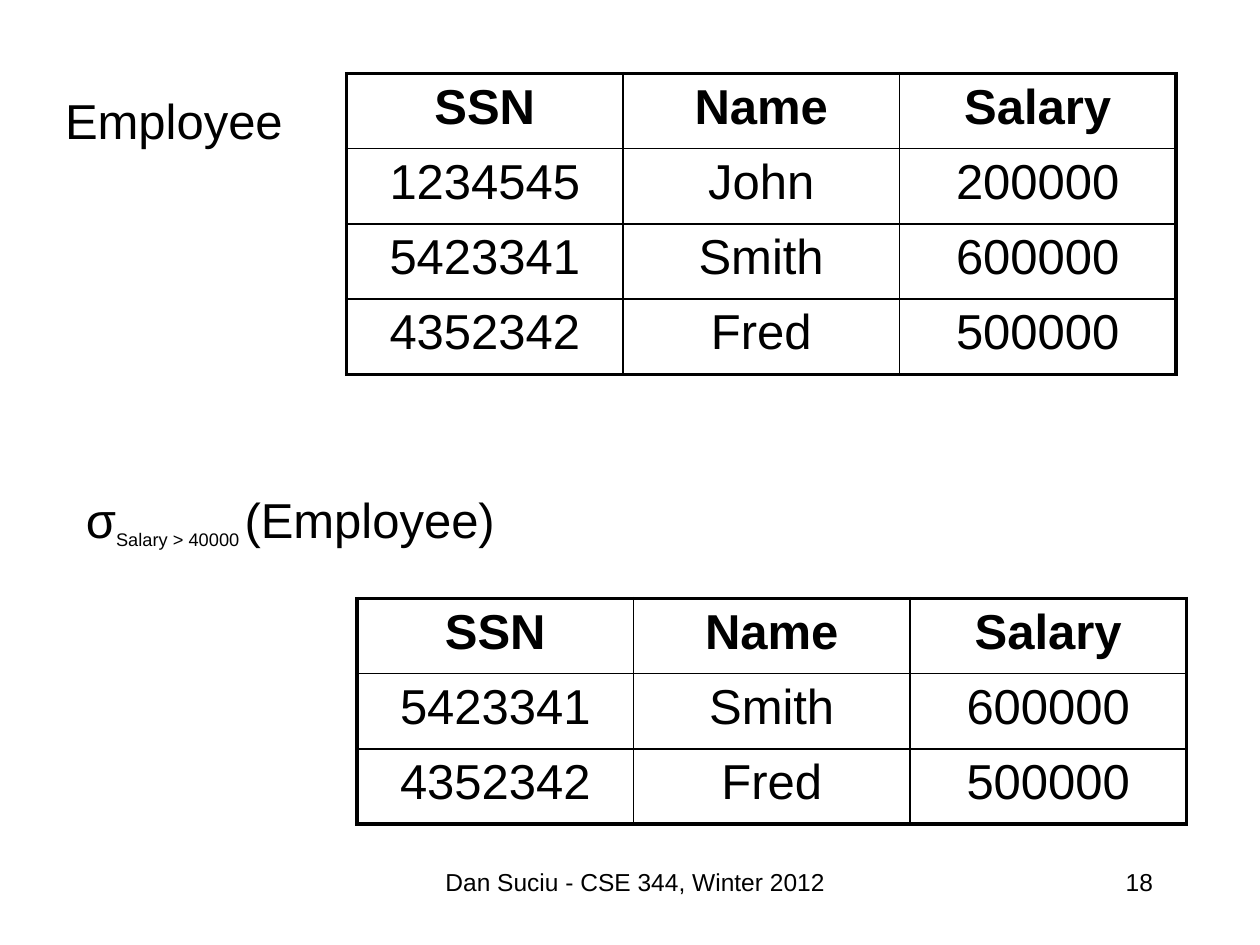
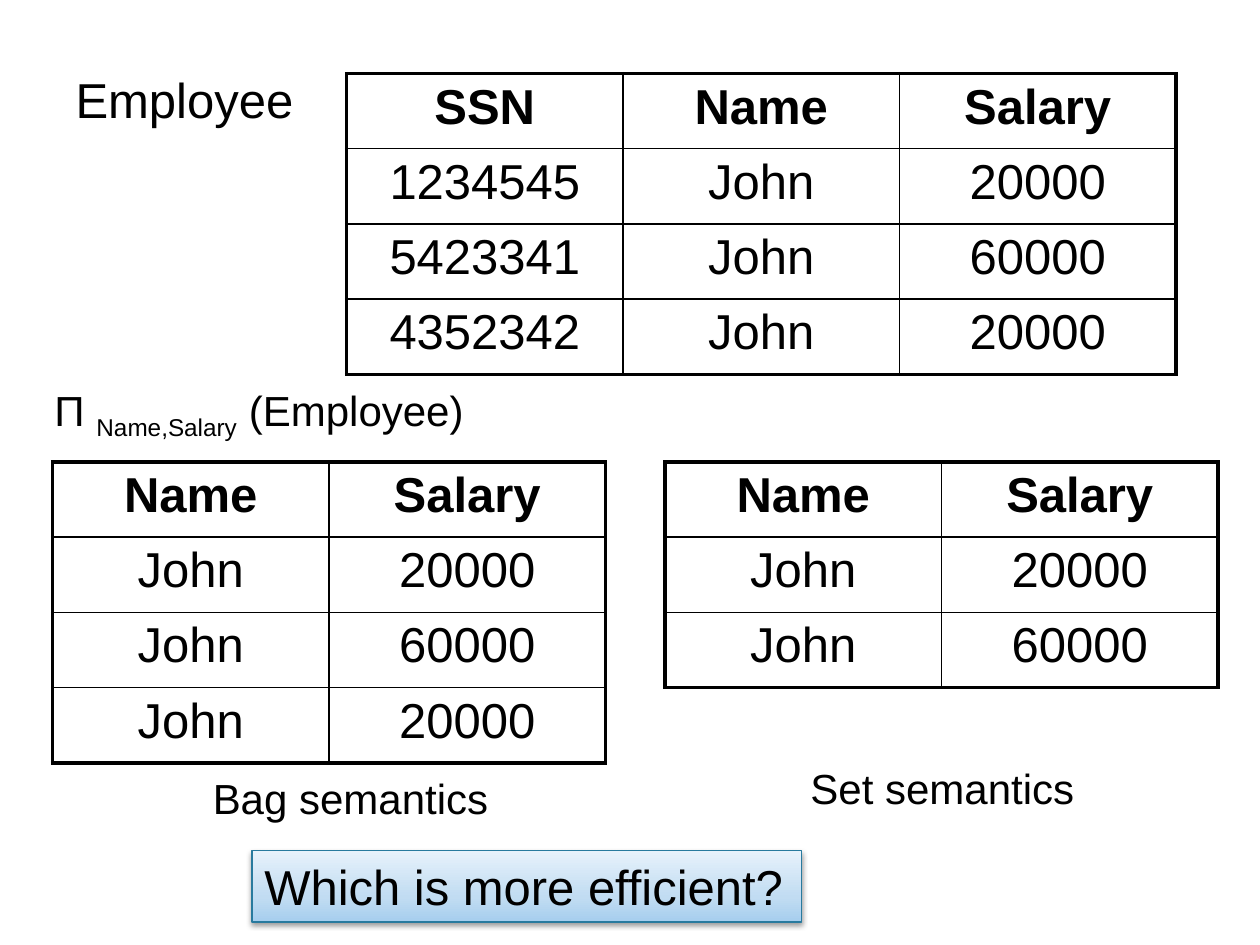
"""Two slides on relational algebra: selection, and projection with duplicates."""
from dataclasses import dataclass

from lxml import etree
from pptx import Presentation
from pptx.dml.color import RGBColor
from pptx.enum.shapes import MSO_SHAPE
from pptx.enum.text import MSO_ANCHOR, MSO_AUTO_SIZE, PP_ALIGN
from pptx.oxml.ns import qn
from pptx.util import Pt

BLACK = RGBColor(0x00, 0x00, 0x00)
CALLOUT_EDGE = RGBColor(0x28, 0x7A, 0x9E)
CALLOUT_STOPS = (
    (0, RGBColor(0xA6, 0xCE, 0xEE)),
    (35, RGBColor(0xC1, 0xDC, 0xF2)),
    (100, RGBColor(0xE7, 0xF2, 0xFB)),
)

LEFT, CENTER, RIGHT = PP_ALIGN.LEFT, PP_ALIGN.CENTER, PP_ALIGN.RIGHT
TOP = MSO_ANCHOR.TOP
GROW, FIXED = MSO_AUTO_SIZE.SHAPE_TO_FIT_TEXT, MSO_AUTO_SIZE.NONE
RECTANGLE = MSO_SHAPE.RECTANGLE

FONT = "Arial"
LARGE, MEDIUM, SMALL_FORMULA, FOOTER = 28, 24, 18, 14
COLUMN_WIDTH, ROW_HEIGHT = 158, 43
OUTER_LINE, INNER_LINE = 2.25, 1
TITLE_ONLY = 5


@dataclass(frozen=True)
class Area:
    """A rectangle on the page, in points."""
    left: float
    top: float
    width: float
    height: float

    def lengths(self):
        """Return left, top, width and height as lengths."""
        return tuple(Pt(n) for n in (self.left, self.top, self.width, self.height))


@dataclass(frozen=True)
class Relation:
    """A relation with its header and tuples, and its place on the page."""
    left: float
    top: float
    header: tuple[str, ...]
    tuples: tuple[tuple[str, ...], ...]


@dataclass(frozen=True)
class Formula:
    """An operator with a subscript, applied to an operand."""
    operator: str
    subscript: str
    operand: str
    size: float
    subscript_size: float


def style_paragraph(para, size: float, align=LEFT, bold: bool = False) -> None:
    """Give a paragraph the common font with a size and alignment."""
    para.alignment = align
    para.font.name = FONT
    para.font.size = Pt(size)
    para.font.bold = bold
    para.font.color.rgb = BLACK


def fill_frame(frame, text: str, size: float, align=LEFT, grow: bool = True) -> None:
    """Write one paragraph; a growing frame keeps it on one line."""
    frame.word_wrap = not grow
    frame.auto_size = GROW if grow else FIXED
    frame.vertical_anchor = TOP
    frame.text = text
    style_paragraph(frame.paragraphs[0], size, align)


def add_page(deck, title_area: Area):
    """Add a page titled with the name of the base relation."""
    page = deck.slides.add_slide(deck.slide_layouts[TITLE_ONLY])
    title = page.shapes.title
    title.left, title.top, title.width, title.height = title_area.lengths()
    fill_frame(title.text_frame, "Employee", LARGE)
    return page


def add_label(page, area: Area, text: str, size: float, align=LEFT,
              grow: bool = True) -> None:
    """Add a text box with one paragraph."""
    box = page.shapes.add_textbox(*area.lengths())
    fill_frame(box.text_frame, text, size, align, grow)


def add_formula(page, area: Area, formula: Formula) -> None:
    """Add an algebra expression with a subscript."""
    frame = page.shapes.add_textbox(*area.lengths()).text_frame
    fill_frame(frame, formula.operator, formula.size)
    para = frame.paragraphs[0]
    subscript = para.add_run()
    subscript.text = formula.subscript
    subscript.font.size = Pt(formula.subscript_size)
    subscript.font._element.set("baseline", "-25000")
    para.add_run().text = formula.operand


def add_border(cell, side: str, width: float) -> None:
    """Draw one black border of a cell; sides are L, R, T and B."""
    line = etree.SubElement(cell._tc.get_or_add_tcPr(), qn(f"a:ln{side}"),
                            w=str(int(Pt(width))))
    fill = etree.SubElement(line, qn("a:solidFill"))
    etree.SubElement(fill, qn("a:srgbClr"), val=str(BLACK))


def add_relation(page, relation: Relation) -> None:
    """Draw a relation as a table with a heavy frame and thin inner lines."""
    rows = (relation.header, *relation.tuples)
    last_row, last_column = len(rows) - 1, len(relation.header) - 1
    area = Area(relation.left, relation.top,
                COLUMN_WIDTH * len(relation.header), ROW_HEIGHT * len(rows))
    table = page.shapes.add_table(len(rows), len(relation.header),
                                  *area.lengths()).table
    table.first_row = table.horz_banding = False
    for r, values in enumerate(rows):
        for c, value in enumerate(values):
            cell = table.cell(r, c)
            cell.text = value
            style_paragraph(cell.text_frame.paragraphs[0], LARGE, CENTER, bold=r == 0)
            outer = {"L": c == 0, "R": c == last_column,
                     "T": r == 0, "B": r == last_row}
            for side, is_outer in outer.items():
                add_border(cell, side, OUTER_LINE if is_outer else INNER_LINE)
            cell.fill.background()


def add_callout(page, area: Area, text: str) -> None:
    """Add a question on a blue gradient with a soft shadow."""
    box = page.shapes.add_shape(RECTANGLE, *area.lengths())
    box.line.color.rgb = CALLOUT_EDGE
    box.line.width = Pt(0.75)
    box.fill.gradient()
    box.fill.gradient_angle = 90
    properties = box._element.spPr
    stops = properties.find(f".//{qn('a:gsLst')}")
    for stop in list(stops):
        stops.remove(stop)
    for position, color in CALLOUT_STOPS:
        stop = etree.SubElement(stops, qn("a:gs"), pos=str(position * 1000))
        etree.SubElement(stop, qn("a:srgbClr"), val=str(color))
    box.shadow.inherit = False
    shadow = etree.SubElement(
        properties.find(qn("a:effectLst")), qn("a:outerShdw"),
        blurRad=str(int(Pt(3.1))), dist=str(int(Pt(1.6))), dir="5400000",
        rotWithShape="0")
    tint = etree.SubElement(shadow, qn("a:srgbClr"), val=str(BLACK))
    etree.SubElement(tint, qn("a:alpha"), val="38000")
    fill_frame(box.text_frame, text, LARGE)


def add_footer(page, number: int) -> None:
    """Add the course line and the page number."""
    add_label(page, Area(228, 492, 270, 36), "Dan Suciu - CSE 344, Winter 2012",
              FOOTER, CENTER, grow=False)
    add_label(page, Area(516, 492, 150, 36), str(number), FOOTER, RIGHT, grow=False)


def build_selection(deck) -> None:
    """Build the page on selecting rows by salary."""
    header = ("SSN", "Name", "Salary")
    employees = (("1234545", "John", "200000"),
                 ("5423341", "Smith", "600000"),
                 ("4352342", "Fred", "500000"))
    page = add_page(deck, Area(30, 48, 140, 41))
    add_formula(page, Area(42, 276, 263, 41),
                Formula("σ", "Salary > 40000 ", "(Employee)", LARGE, SMALL_FORMULA))
    add_relation(page, Relation(198, 42, header, employees))
    add_relation(page, Relation(204, 342, header, employees[1:]))
    add_footer(page, 18)


def build_projection(deck) -> None:
    """Build the page on projection under bag and set semantics."""
    header = ("SSN", "Name", "Salary")
    employees = (("1234545", "John", "20000"),
                 ("5423341", "John", "60000"),
                 ("4352342", "John", "20000"))
    bag = tuple(employee[1:] for employee in employees)
    distinct = tuple(dict.fromkeys(bag))
    page = add_page(deck, Area(36, 36, 140, 41))
    add_formula(page, Area(24, 216, 264, 37),
                Formula("Π ", "Name,Salary", " (Employee)", MEDIUM, MEDIUM))
    add_relation(page, Relation(198, 42, header, employees))
    add_relation(page, Relation(30, 264, header[1:], bag))
    add_relation(page, Relation(380, 264, header[1:], distinct))
    add_label(page, Area(114.5, 438, 173.5, 36), "Bag semantics", MEDIUM)
    add_label(page, Area(456, 432, 167, 36), "Set semantics", MEDIUM)
    add_callout(page, Area(144, 486, 314, 41), "Which is more efficient?")


def main() -> None:
    """Build and save the deck."""
    deck = Presentation()
    deck.slide_width, deck.slide_height = Pt(720), Pt(540)
    build_selection(deck)
    build_projection(deck)
    deck.save("out.pptx")


main()
